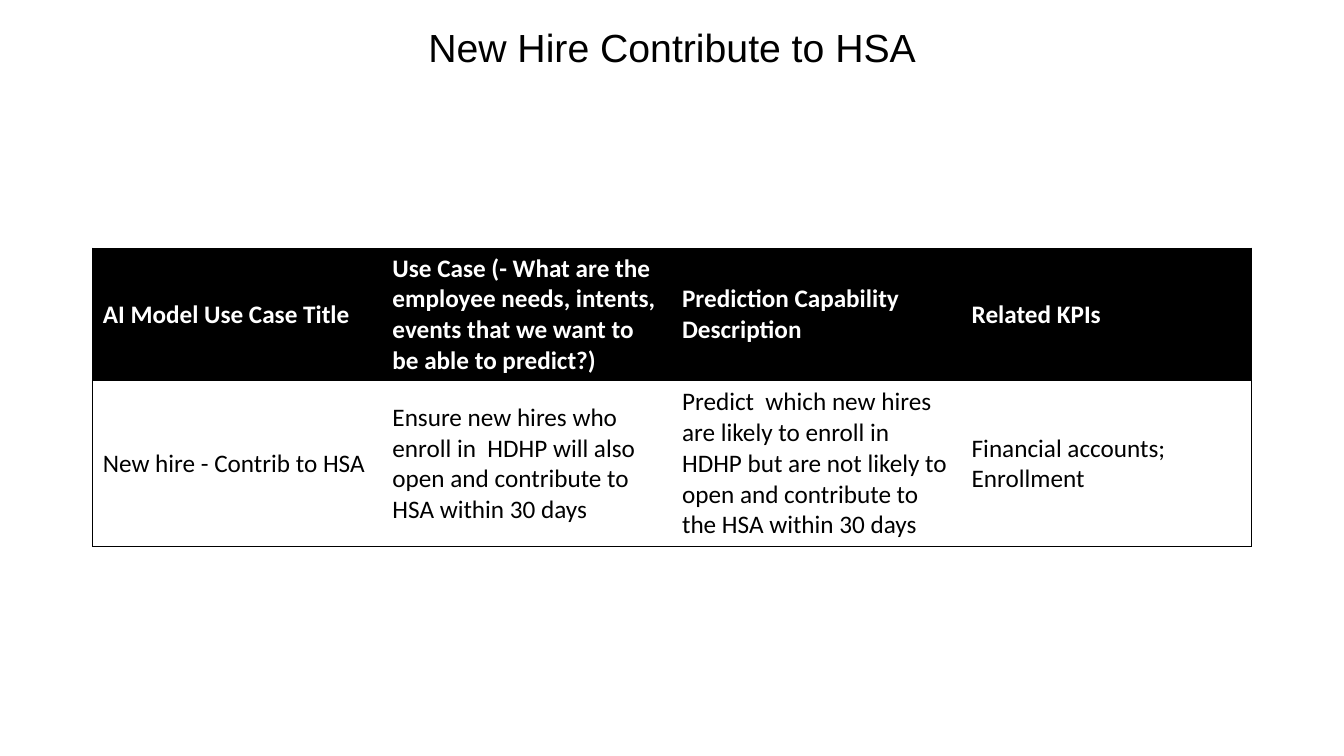
from dataclasses import dataclass

from lxml import etree
from pptx import Presentation
from pptx import util as u
from pptx.dml.color import RGBColor
from pptx.enum import text
from pptx.oxml.ns import qn


@dataclass(frozen=True)
class Theme:
    dark: str = "000000"
    light: str = "FFFFFF"
    title_font: str = "Arial"
    table_font: str = "Calibri"
    title_size: int = 28
    table_size: int = 18
    border: float = 0.5


THEME = Theme()
WIDTH, HEIGHT = u.Inches(13.33), u.Inches(7.5)
ROW_HEIGHTS = (1.31, 1.64)
ROWS = (
    (
        "AI Model Use Case Title",
        "Use Case (- What are the employee needs, intents, events that we want to be able to predict?)",
        "Prediction Capability Description",
        "Related KPIs",
    ),
    (
        "New hire - Contrib to HSA",
        "Ensure new hires who enroll in  HDHP will also open and contribute to HSA within 30 days",
        "Predict  which new hires are likely to enroll in HDHP but are not likely to open and contribute to the HSA within 30 days",
        "Financial accounts; Enrollment",
    ),
)


def add_run(p, words, font, size, color, bold=False):
    r = p.add_run()
    r.text = words
    r.font.name = font
    r.font.size = u.Pt(size)
    r.font.bold = bold
    r.font.color.rgb = RGBColor.from_string(color)


def set_title(s, words):
    sp = s.shapes.title
    sp.width, sp.height = int(WIDTH * 0.75), int(HEIGHT * 0.1)
    sp.left, sp.top = (WIDTH - sp.width) // 2, 0
    tf = sp.text_frame
    tf.word_wrap = True
    tf.auto_size = text.MSO_AUTO_SIZE.NONE
    tf.vertical_anchor = text.MSO_ANCHOR.BOTTOM
    p = tf.paragraphs[0]
    p.alignment = text.PP_ALIGN.CENTER
    p.line_spacing = 0.9
    add_run(p, words, THEME.title_font, THEME.title_size, THEME.dark)


def set_borders(cell, outer):
    tc_pr = cell._tc.get_or_add_tcPr()
    for i, side in enumerate("LRTB"):
        ln = etree.Element(qn(f"a:ln{side}"), w=str(u.Pt(THEME.border)))
        if side in outer:
            fill = etree.SubElement(ln, qn("a:solidFill"))
            etree.SubElement(fill, qn("a:srgbClr"), val=THEME.dark)
        else:
            etree.SubElement(ln, qn("a:noFill"))
        tc_pr.insert(i, ln)


def fill_cell(cell, words, header):
    cell.vertical_anchor = text.MSO_ANCHOR.MIDDLE
    if header:
        cell.fill.solid()
        cell.fill.fore_color.rgb = RGBColor.from_string(THEME.dark)
    else:
        cell.fill.background()
    color = THEME.light if header else THEME.dark
    p = cell.text_frame.paragraphs[0]
    add_run(p, words, THEME.table_font, THEME.table_size, color, header)


def add_use_case_table(s):
    n_rows, n_cols = len(ROWS), len(ROWS[0])
    left, top = u.Inches(0.92), u.Inches(2.46)
    width, height = WIDTH - 2 * left, u.Inches(sum(ROW_HEIGHTS))
    table = s.shapes.add_table(n_rows, n_cols, left, top, width, height).table
    table.first_row = table.horz_banding = False
    for i, row in enumerate(ROWS):
        table.rows[i].height = u.Inches(ROW_HEIGHTS[i])
        for j, words in enumerate(row):
            cell = table.cell(i, j)
            fill_cell(cell, words, header=i == 0)
            edges = {"L": j == 0, "R": j == n_cols - 1, "T": i == 0, "B": i == n_rows - 1}
            set_borders(cell, [side for side, outer in edges.items() if outer])


def main():
    prs = Presentation()
    prs.slide_width, prs.slide_height = WIDTH, HEIGHT
    s = prs.slides.add_slide(prs.slide_layouts[0])
    subtitle = s.placeholders[1].element
    subtitle.getparent().remove(subtitle)
    set_title(s, "New Hire Contribute to HSA")
    add_use_case_table(s)
    prs.save("out.pptx")


if __name__ == "__main__":
    main()
